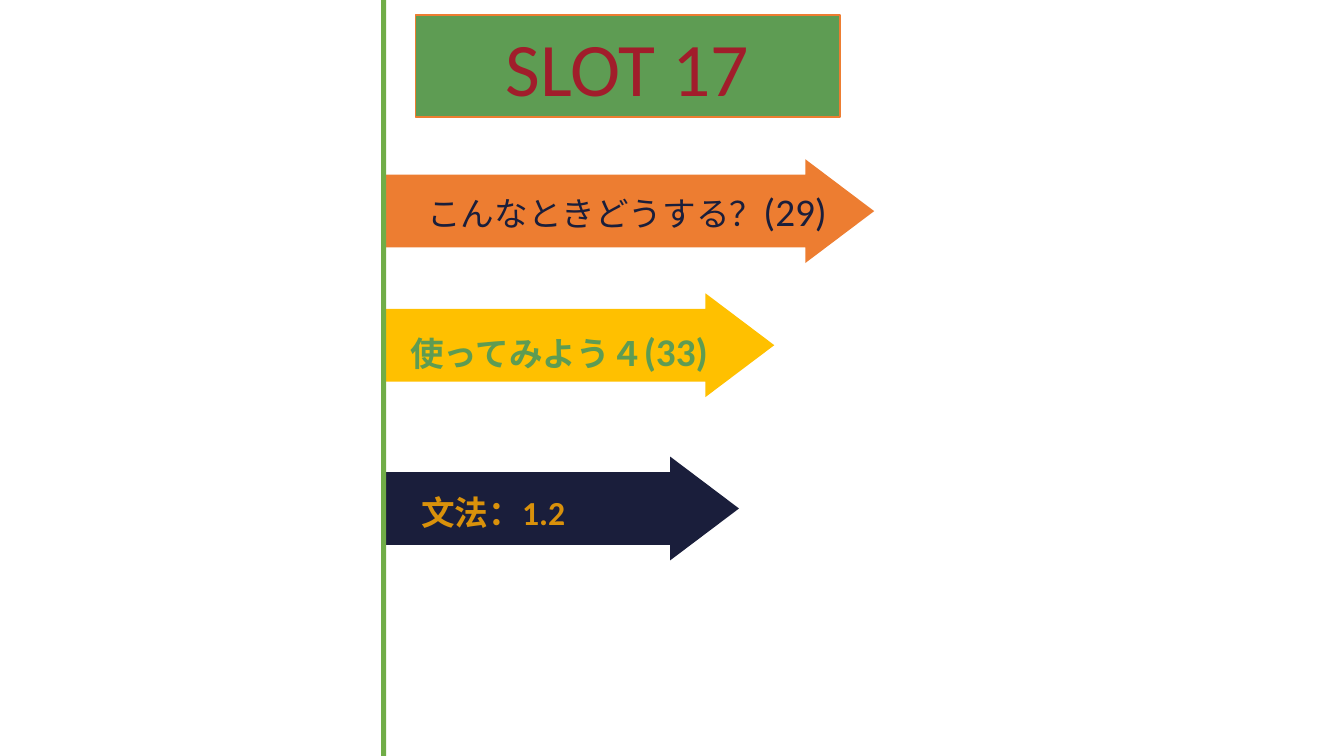
from pptx import Presentation
from pptx.dml.color import RGBColor
from pptx.enum import shapes, text
from pptx.util import Inches, Pt

FONT = "Calibri"
TITLE = "SLOT 17"
ARROW_HEIGHT = 1.03
ARROW_ADJUSTMENTS = (0.701, 0.663)

# arrow (left, top, width), fill, label (left, top, width, height), colour, bold, runs (wording, size)
TOPICS = [
    ((3.78, 1.58, 4.89), "ED7D31", (4.14, 1.81, 5.57, 0.57), "1A1E3B", False,
     [("こんなときどうする？", 24), ("(29)", 28)]),
    ((3.78, 2.91, 3.9), "FFC000", (3.97, 3.2, 4.51, 0.57), "5E9C53", True,
     [("使ってみよう４", 24), ("(33)", 28)]),
    ((3.83, 4.53, 3.5), "1A1E3B", (4.08, 4.83, 3.25, 0.5), "D9910B", True,
     [("文法：1.2", 24)]),
]


def paint(color_format, value):
    color_format.rgb = RGBColor.from_string(value)


def add_filled(page, kind, place, fill):
    """Add a preset shape with a plain fill, no outline and no shadow."""
    shape = page.shapes.add_shape(kind, *map(Inches, place))
    shape.shadow.inherit = False
    shape.fill.solid()
    paint(shape.fill.fore_color, fill)
    shape.line.fill.background()
    return shape


def add_label(page, place, color, bold, runs):
    box = page.shapes.add_textbox(*map(Inches, place))
    box.text_frame.word_wrap = True
    box.text_frame.auto_size = text.MSO_AUTO_SIZE.SHAPE_TO_FIT_TEXT
    para = box.text_frame.paragraphs[0]
    para.font.name = FONT
    para.font.bold = bold
    paint(para.font.color, color)
    for wording, size in runs:
        span = para.add_run()
        span.text = wording
        span.font.size = Pt(size)


def format_title(title):
    title.left, title.top, title.width, title.height = map(Inches, (4.12, 0.15, 4.21, 1.01))
    title.fill.solid()
    paint(title.fill.fore_color, "5E9C53")
    paint(title.line.color, "ED7D31")
    title.line.width = Pt(1)
    frame = title.text_frame
    frame.text = TITLE
    frame.word_wrap = True
    frame.auto_size = text.MSO_AUTO_SIZE.NONE
    frame.vertical_anchor = text.MSO_ANCHOR.MIDDLE
    para = frame.paragraphs[0]
    para.alignment = text.PP_ALIGN.CENTER
    para.font.name = FONT
    para.font.size = Pt(54)
    paint(para.font.color, "A11D2B")


def main():
    deck = Presentation()
    deck.slide_width, deck.slide_height = Inches(13.33), Inches(7.5)
    page = deck.slides.add_slide(deck.slide_layouts[5])
    format_title(page.shapes.title)

    for place, fill, *_ in TOPICS:
        arrow = add_filled(page, shapes.MSO_SHAPE.RIGHT_ARROW, (*place, ARROW_HEIGHT), fill)
        for index, value in enumerate(ARROW_ADJUSTMENTS):
            arrow.adjustments[index] = value
    add_filled(page, shapes.MSO_SHAPE.RECTANGLE, (3.78, 0, 0.05, 7.5), "70AD47")
    for _, _, *label in TOPICS:
        add_label(page, *label)

    deck.save("out.pptx")


if __name__ == "__main__":
    main()
